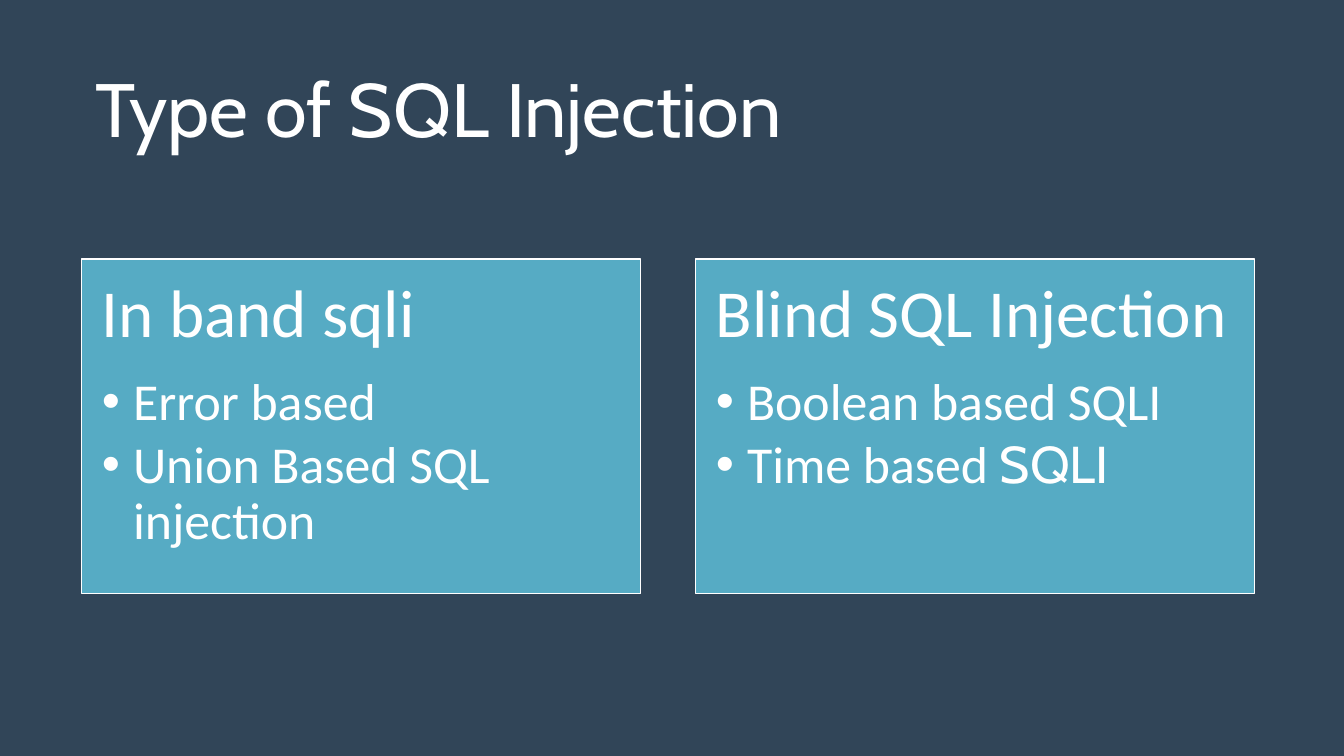
"""Build the slide on types of SQL injection with two cards."""
from lxml.etree import SubElement
from pptx import Presentation
from pptx.dml.color import RGBColor
from pptx.enum.shapes import MSO_SHAPE
from pptx.enum.text import MSO_ANCHOR, MSO_AUTO_SIZE, PP_ALIGN
from pptx.oxml.ns import qn
from pptx.util import Inches, Pt

NAVY = RGBColor(0x24, 0x33, 0x41)
SLATE = RGBColor(0x33, 0x48, 0x5B)
TEAL = RGBColor(0x56, 0xAB, 0xC4)
WHITE = RGBColor(0xFF, 0xFF, 0xFF)
CARDS = [
    ("In band\u00a0sqli", [["Error based"], ["Union Based SQL injection"]]),
    ("Blind SQL Injection", [["Boolean based SQLI"], ["Time based ", "SQLI"]]),
]


def place(shape, left, top, width, height):
    shape.left, shape.top = Inches(left), Inches(top)
    shape.width, shape.height = Inches(width), Inches(height)


def style(para, size, after, fonts):
    para.alignment = PP_ALIGN.LEFT
    para.line_spacing = 0.9
    para.space_before = Pt(0)
    para.space_after = Pt(after)
    for run, name in zip(para.runs, fonts):
        run.font.name = name
        run.font.size = Pt(size)
        run.font.color.rgb = WHITE


deck = Presentation()
deck.slide_width, deck.slide_height = Inches(13.33), Inches(7.5)
slide = deck.slides.add_slide(deck.slide_layouts.get_by_name("Two Content"))
slide.background.fill.solid()
slide.background.fill.fore_color.rgb = NAVY

veil = slide.shapes.add_shape(MSO_SHAPE.RECTANGLE, 0, 0, deck.slide_width, deck.slide_height)
veil.shadow.inherit = False
veil.fill.solid()
veil.fill.fore_color.rgb = SLATE
veil.line.fill.background()
tint = veil.fill._xPr.find(qn("a:solidFill"))[0]
SubElement(tint, qn("a:alpha")).set("val", "90000")
slide.shapes._spTree.insert(2, veil._element)

title = slide.shapes.title
place(title, 0.85, 0.4, 11.63, 1.45)
title.text_frame.text = "Type of SQL Injection"
title.text_frame.auto_size = MSO_AUTO_SIZE.NONE
title.text_frame.vertical_anchor = MSO_ANCHOR.MIDDLE
style(title.text_frame.paragraphs[0], 54, 0, ["Cabin"])

for col, (head, items) in enumerate(CARDS):
    card = slide.placeholders[col + 1]
    place(card, 0.81 + col * 6.09, 2.57, 5.54, 3.32)
    card.fill.solid()
    card.fill.fore_color.rgb = TEAL
    card.line.color.rgb = WHITE
    card.line.width = Pt(1)

    frame = card.text_frame
    frame.text = head
    frame.auto_size = MSO_AUTO_SIZE.NONE
    frame.vertical_anchor = MSO_ANCHOR.TOP
    frame.margin_left = frame.margin_right = Inches(0.2)
    frame.margin_top = frame.margin_bottom = Inches(0.2)
    first = frame.paragraphs[0]
    style(first, 48, 17, ["Calibri"])
    props = first._p.get_or_add_pPr()
    props.set("marL", "0")
    props.set("indent", "0")
    SubElement(props, qn("a:buNone"))

    for parts in items:
        para = frame.add_paragraph()
        para.level = 1
        for part in parts:
            para.add_run().text = part
        style(para, 37, 5.5, ["Calibri", "Cabin"])
        props = para._p.get_or_add_pPr()
        props.set("marL", str(Inches(0.31)))
        props.set("indent", str(-Inches(0.31)))
        SubElement(props, qn("a:buChar")).set("char", "\u2022")

deck.save("out.pptx")
